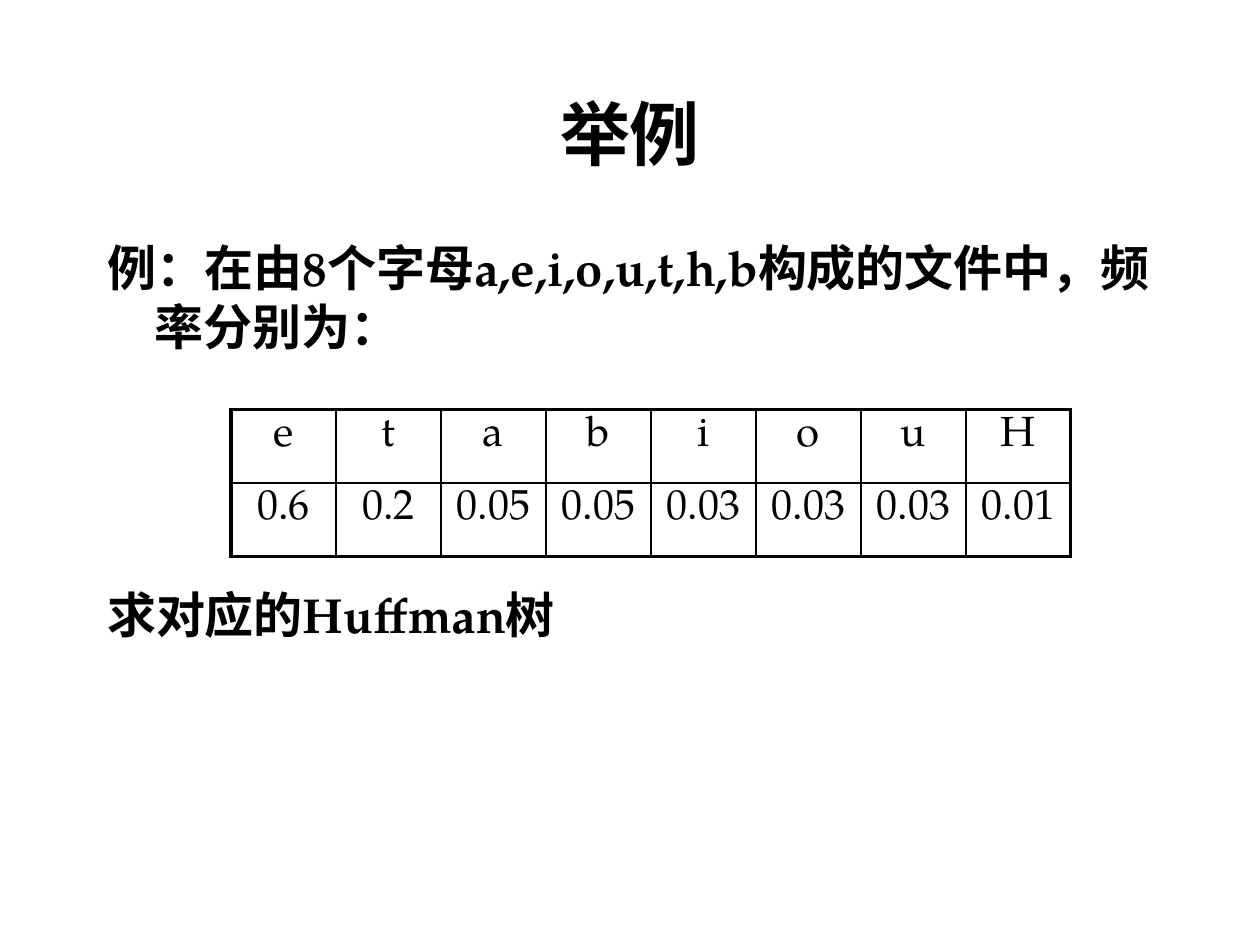
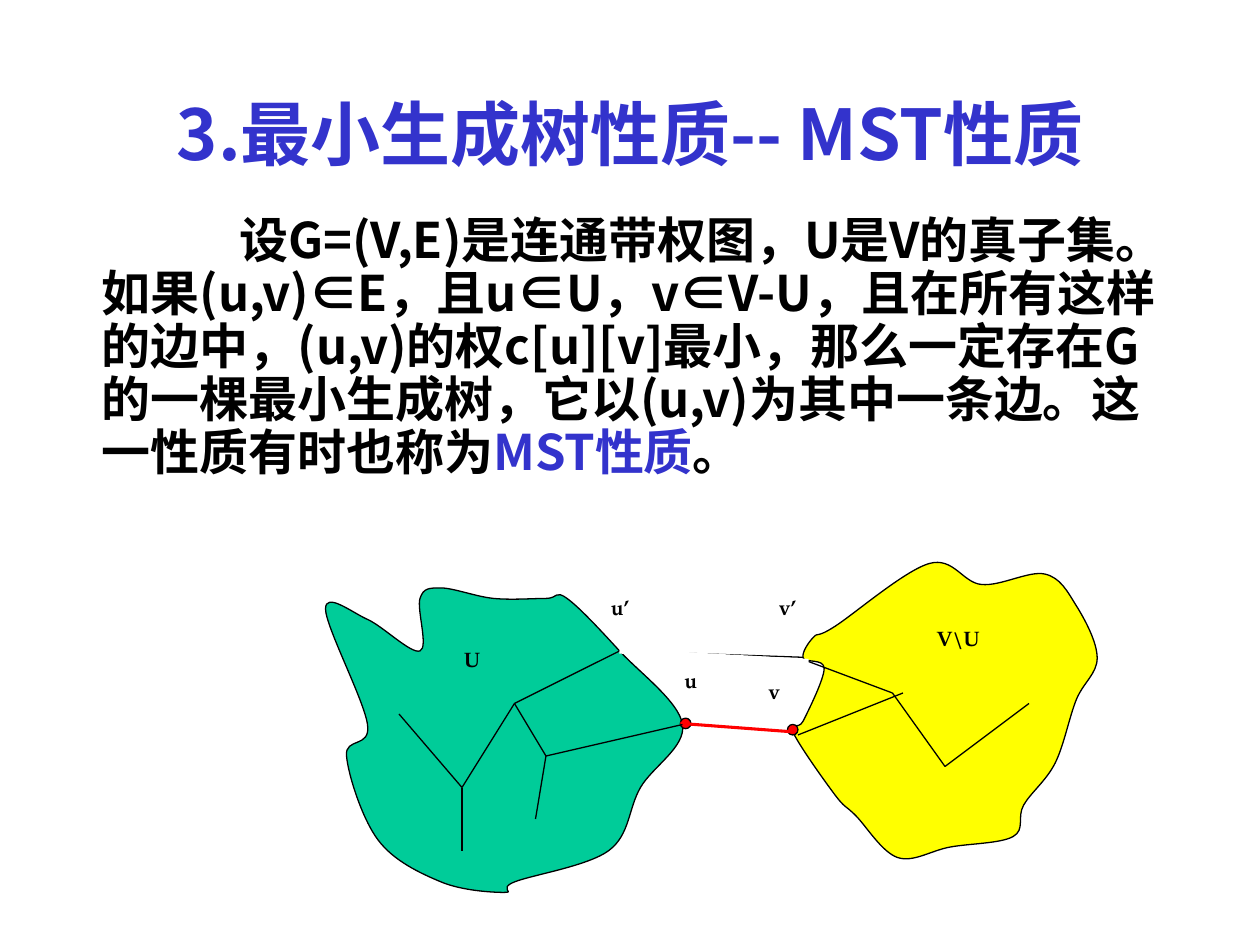
from lxml.etree import SubElement
from pptx import Presentation
from pptx.dml.color import RGBColor
from pptx.enum.shapes import MSO_CONNECTOR, MSO_SHAPE
from pptx.enum.text import MSO_ANCHOR, MSO_AUTO_SIZE, PP_ALIGN
from pptx.oxml.ns import qn
from pptx.util import Inches, Pt

COLORS = {
    "ink": "000000",
    "accent": "3333CC",
    "inside": "00CC99",
    "outside": "FFFF00",
    "cut": "FF0000",
    "paper": "FFFFFF",
}
SERIF = "TeX Gyre Pagella"
SANS = "Noto Sans CJK SC"
CELL = Inches(1) / 12
BODY_INDENT = 4.5

FREQUENCIES = {
    "e": "0.6", "t": "0.2", "a": "0.05", "b": "0.05",
    "i": "0.03", "o": "0.03", "u": "0.03", "H": "0.01",
}

INSIDE_OUTLINE = [
    (11, 0), (16, 1), (21, 1), (23, 1), (28, 6), (34, 13), (30, 19), (27, 25), (18, 28),
    (17, 29), (11, 28), (5, 24), (2, 16), (4, 13), (0, 2), (4, 3), (9, 6), (9, 1),
]
OUTSIDE_OUTLINE = [
    (4, 6), (13, 0), (18, 2), (24, 1), (27, 4), (29, 9), (27, 13), (25, 19), (22, 23), (21, 26),
    (15, 27), (10, 28), (6, 24), (4, 22), (0, 16), (1, 15), (3, 10), (1, 9), (2, 7),
]
TREE_EDGES = [
    ((45, 17), (55, 13)), ((28, 9), (45.5, 9.6)), ((34, 16), (21, 19)), ((21, 19), (18, 14)),
    ((18, 14), (28, 9)), ((46, 10), (54, 13)), ((18, 14), (13, 22)), ((21, 19), (20, 25)),
    ((54, 13), (59, 20)), ((7, 15), (13, 22)), ((59, 20), (67, 14)), ((13, 22), (13, 28)),
]
VERTEX_LABELS = [
    ("U", 12, 8, 6), ("u", 33, 10, 6), ("V\\U", 57, 6, 14),
    ("v", 41, 11, 6), ("u’", 26, 3, 6), ("v’", 42, 3, 6),
]


def color(name):
    """Look up a named colour."""
    return RGBColor.from_string(COLORS[name])


def grid(*cells):
    """Turn grid cells into lengths."""
    return [round(cell * CELL) for cell in cells]


def add_run(paragraph, text, size, font=SERIF, ink="ink", bold=True):
    """Append one formatted run to a paragraph."""
    run = paragraph.add_run()
    run.text = text
    run.font.size = Pt(size)
    run.font.name = font
    run.font.bold = bold
    run.font.color.rgb = color(ink)
    SubElement(run.font._element, qn("a:ea"), typeface=SANS)


def place(shape, box):
    """Move a placeholder to a grid box and return its text frame."""
    shape.left, shape.top, shape.width, shape.height = grid(*box)
    frame = shape.text_frame
    frame.auto_size = MSO_AUTO_SIZE.NONE
    frame.vertical_anchor = MSO_ANCHOR.TOP
    return frame


def add_title(slide, box, text, font, ink):
    """Fill the title placeholder."""
    paragraph = place(slide.shapes.title, box).paragraphs[0]
    paragraph.alignment = PP_ALIGN.CENTER
    add_run(paragraph, text, 40, font, ink)


def format_body(paragraph, first_line, space_before=0):
    """Give a body paragraph its indents and remove its bullet."""
    paragraph.space_before = Pt(space_before)
    margin, indent = grid(BODY_INDENT, first_line)
    properties = paragraph._p.get_or_add_pPr()
    properties.set("marL", str(margin))
    properties.set("indent", str(indent))
    SubElement(properties, qn("a:buNone"))


def border_cell(cell, widths):
    """Draw the four borders of a cell from a dict of side and width."""
    properties = cell._tc.get_or_add_tcPr()
    for side, width in widths.items():
        line = SubElement(properties, qn(f"a:ln{side}"), w=str(Pt(width)))
        fill = SubElement(line, qn("a:solidFill"))
        SubElement(fill, qn("a:srgbClr"), val=COLORS["ink"])


def add_frequency_table(slide, box):
    """Add the letter frequencies in a framed table."""
    rows = [list(FREQUENCIES), list(FREQUENCIES.values())]
    last_row, last_column = len(rows) - 1, len(FREQUENCIES) - 1
    table = slide.shapes.add_table(len(rows), len(FREQUENCIES), *grid(*box)).table
    table.first_row = table.horz_banding = False
    for row, texts in enumerate(rows):
        for column, text in enumerate(texts):
            cell = table.cell(row, column)
            outer = {"L": column == 0, "R": column == last_column,
                     "T": row == 0, "B": row == last_row}
            border_cell(cell, {side: 2.25 if edge else 1 for side, edge in outer.items()})
            cell.fill.background()
            paragraph = cell.text_frame.paragraphs[0]
            paragraph.alignment = PP_ALIGN.CENTER
            add_run(paragraph, text, 24, bold=False)


def curve_segments(points):
    """Yield two control points and an end for each part of a closed smooth curve."""
    count = len(points)
    for index in range(count):
        before, start, end, after = (points[(index + shift) % count] for shift in (-1, 0, 1, 2))
        leaving = [s + (e - b) / 6 for b, s, e in zip(before, start, end)]
        arriving = [e - (a - s) / 6 for s, e, a in zip(start, end, after)]
        yield leaving, arriving, end


def paint(shape, fill):
    """Fill a shape and give it a thin dark outline."""
    shape.shadow.inherit = False
    shape.fill.solid()
    shape.fill.fore_color.rgb = color(fill)
    shape.line.color.rgb = color("ink")
    shape.line.width = Pt(0.75)


def add_region(slide, left, top, anchors, fill):
    """Add a curved vertex region at a grid position."""
    corners = [grid(left + x, top + y) for x, y in anchors]
    builder = slide.shapes.build_freeform(*corners[0], scale=1.0)
    builder.add_line_segments(corners[1:], close=True)
    region = builder.convert_to_shape()
    outline = next(region._element.iter(qn("a:path")))
    for segment in outline[1:]:
        outline.remove(segment)
    for segment in curve_segments(anchors):
        curve = SubElement(outline, qn("a:cubicBezTo"))
        for point in segment:
            x, y = grid(*point)
            SubElement(curve, qn("a:pt"), x=str(x), y=str(y))
    SubElement(outline, qn("a:close"))
    paint(region, fill)


def add_edge(slide, left, top, start, end, ink="ink", width=0.75):
    """Add a straight edge between two grid points."""
    ends = grid(left + start[0], top + start[1], left + end[0], top + end[1])
    edge = slide.shapes.add_connector(MSO_CONNECTOR.STRAIGHT, *ends)
    edge.line.color.rgb = color(ink)
    edge.line.width = Pt(width)
    SubElement(edge._element.spPr, qn("a:effectLst"))


def add_cut_diagram(slide, left, top):
    """Add the two regions, their trees and the edge crossing the cut."""
    add_region(slide, left, top + 3, INSIDE_OUTLINE, "inside")
    add_region(slide, left + 44.5, top + 0.67, OUTSIDE_OUTLINE, "outside")
    for x, y in [(33.8, 15.4), (44, 16)]:
        dot = slide.shapes.add_shape(MSO_SHAPE.OVAL, *grid(left + x, top + y, 1, 1))
        paint(dot, "cut")
    add_edge(slide, left, top, (33.8, 15.9), (44.5, 16.7), "cut", 1.75)
    for start, end in TREE_EDGES:
        add_edge(slide, left, top, start, end)
    for text, x, y, width in VERTEX_LABELS:
        label = slide.shapes.add_textbox(*grid(left + x, top + y, width, 3.6))
        label.text_frame.word_wrap = True
        add_run(label.text_frame.paragraphs[0], text, 12)
    add_edge(slide, left, top, (28, 9), (46, 10), "paper", 3)


def add_example_slide(presentation):
    """Build the slide with the coding example."""
    slide = presentation.slides.add_slide(presentation.slide_layouts[1])
    add_title(slide, (9, 8, 102, 15), "举例", SERIF, "ink")
    frame = place(slide.placeholders[1], (9, 22, 102, 55))
    question = frame.paragraphs[0]
    format_body(question, -BODY_INDENT)
    add_run(question, "例：在由8个字母a,e,i,o,u,t,h,b构成的文件中，频率分别为：", 28)
    task = frame.add_paragraph()
    format_body(task, -BODY_INDENT, space_before=131)
    add_run(task, "求对应的Huffman树", 28)
    add_frequency_table(slide, (22, 39, 80, 14))


def add_property_slide(presentation):
    """Build the slide that states the spanning tree property."""
    slide = presentation.slides.add_slide(presentation.slide_layouts[1])
    add_title(slide, (9, 8, 102, 11), "3.最小生成树性质-- MST性质", SANS, "accent")
    paragraph = place(slide.placeholders[1], (4, 20, 109, 29)).paragraphs[0]
    paragraph.line_spacing = 0.9
    format_body(paragraph, 13.1)
    statement = (
        "设G=(V,E)是连通带权图，U是V的真子集。如果(u,v)∈E，且u∈U，v∈V-U，"
        "且在所有这样的边中，(u,v)的权c[u][v]最小，那么一定存在G的一棵最小生成树，"
        "它以(u,v)为其中一条边。这一性质有时也称为"
    )
    for text, ink in [(statement, "ink"), ("MST性质", "accent"), ("。", "ink")]:
        add_run(paragraph, text, 28, SANS, ink)
    add_cut_diagram(slide, 31, 53)


def main():
    """Build and save the presentation."""
    presentation = Presentation()
    presentation.slide_width, presentation.slide_height = grid(120, 90)
    add_example_slide(presentation)
    add_property_slide(presentation)
    presentation.save("out.pptx")


if __name__ == "__main__":
    main()
